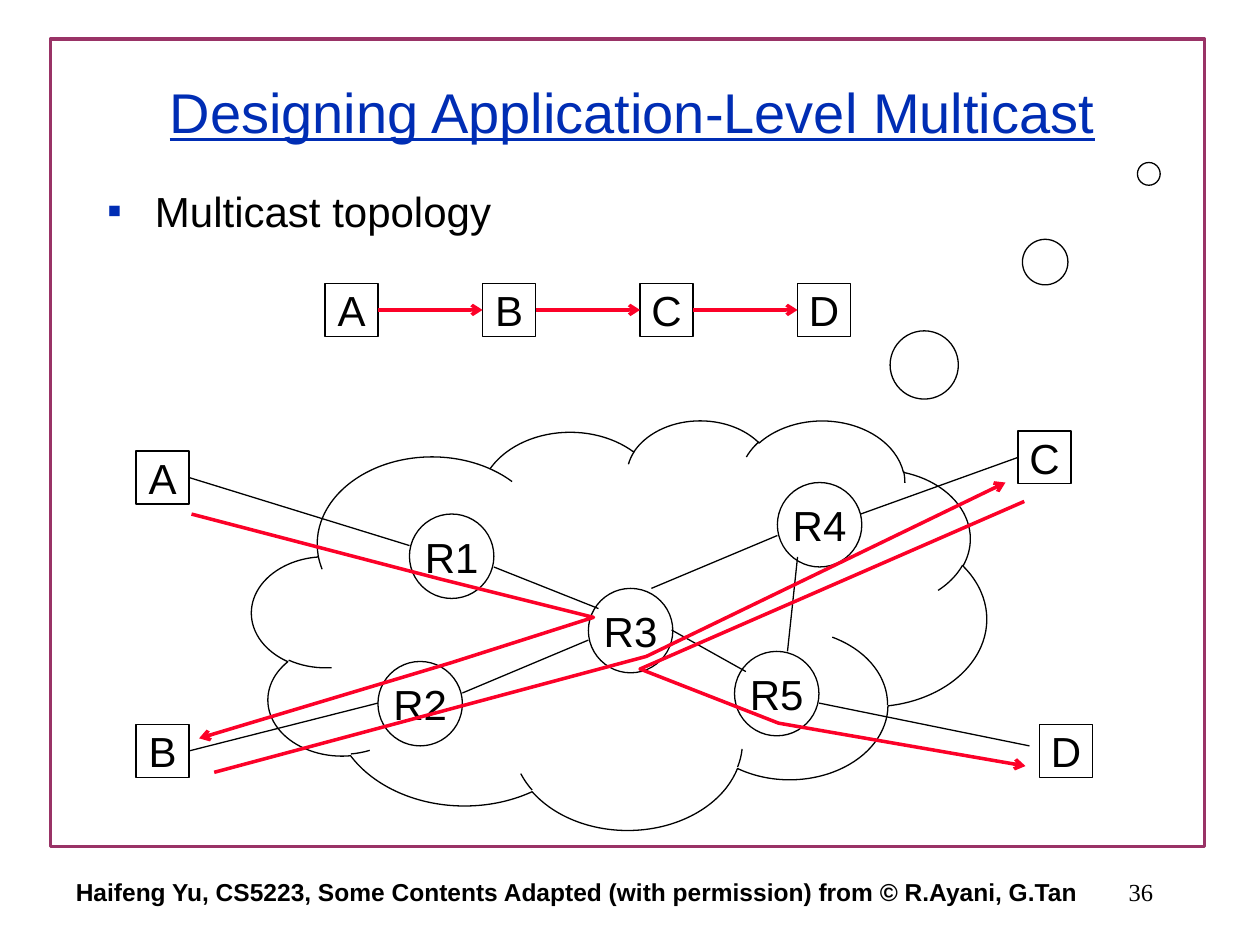
import pptx
import pptx.util
import pptx.dml.color
import pptx.enum.shapes
import pptx.enum.text
import pptx.oxml.ns
import lxml.etree

Inches = pptx.util.Inches
Pt = pptx.util.Pt
qn = pptx.oxml.ns.qn
KIND = pptx.enum.shapes.MSO_SHAPE
ALIGN = pptx.enum.text.PP_ALIGN
MIDDLE = pptx.enum.text.MSO_ANCHOR.MIDDLE

COLORS = {"ink": "000000", "blue": "002DB4", "red": "FC0128", "frame": "993366"}
LABEL = {"size": Pt(24), "name": "Arial"}
TITLE = {"size": Pt(32), "name": "Arial", "underline": True}
CREDIT = {"size": Pt(14), "name": "Arial", "bold": True}
NUMBER = {"size": Pt(14), "name": "Times New Roman"}
SIDE = 0.42   # host square
ROUND = 0.67  # router circle


def color(name):
    return pptx.dml.color.RGBColor.from_string(COLORS[name])


def node(parent, tag, **attrs):
    return lxml.etree.SubElement(parent, qn(tag), attrs)


def write(frame, text, style, ink="ink", align=ALIGN.CENTER, wrap=False):
    for key, value in {"word_wrap": wrap, "vertical_anchor": MIDDLE}.items():
        setattr(frame, key, value)
    para = frame.paragraphs[0]
    para.alignment = align
    run = para.add_run()
    run.text = text
    for key, value in style.items():
        setattr(run.font, key, value)
    run.font.color.rgb = color(ink)
    return para


def lead(para):
    """Add space before the paragraph, as a share of the line."""
    props = para._p.get_or_add_pPr()
    node(node(props, "a:spcBef"), "a:spcPct", val="30000")
    return props


def stroke(shape, ink="ink", width=0.75, arrow=False):
    shape.line.color.rgb = color(ink)
    shape.line.width = Pt(width)
    if arrow:
        node(shape._element.spPr.find(qn("a:ln")), "a:tailEnd", type="arrow")


def outline(shapes, kind, left, top, width, height, ink="ink", weight=0.75):
    shape = shapes.add_shape(kind, *map(Inches, (left, top, width, height)))
    shape.shadow.inherit = False
    shape.fill.background()
    stroke(shape, ink, weight)
    return shape


def point(shapes, kind, text, left, top, size):
    shape = outline(shapes, kind, left, top, size, size)
    lead(write(shape.text_frame, text, LABEL))
    return shape


def link(shapes, start, end, **look):
    line = shapes.add_connector(pptx.enum.shapes.MSO_CONNECTOR.STRAIGHT,
                                *map(Inches, (*start, *end)))
    stroke(line, **look)
    node(line._element.spPr, "a:effectLst")
    return line


def route(shapes, spots):
    """Red path with bends and an arrowhead at its end."""
    spots = [tuple(map(Inches, spot)) for spot in spots]
    pen = shapes.build_freeform(*spots[0], scale=1.0)
    pen.add_line_segments(spots[1:], close=False)
    shape = pen.convert_to_shape()
    shape.shadow.inherit = False
    shape.fill.background()
    stroke(shape, "red", 2, True)


def place(shape, box):
    for key, value in zip(("left", "top", "width", "height"), box):
        setattr(shape, key, Inches(value))


def header(slide, box):
    left, top, width = box
    # Title
    title = slide.shapes.title
    place(title, (left + 0.02, top, width, 0.92))
    write(title.text_frame, "Designing Application-Level Multicast",
          TITLE, "blue", wrap=True)
    # Bullet list
    body = slide.placeholders[1]
    place(body, (left, top + 1, width, 1.25))
    para = write(body.text_frame, "Multicast topology", LABEL,
                 align=ALIGN.LEFT, wrap=True)
    body.text_frame.vertical_anchor = pptx.enum.text.MSO_ANCHOR.TOP
    props = lead(para)
    props.set("marL", str(Inches(0.38)))
    props.set("indent", str(Inches(-0.38)))
    node(node(props, "a:buClr"), "a:srgbClr", val=COLORS["blue"])
    node(props, "a:buFont", typeface="Arial")
    node(props, "a:buChar", char="▪")


def footer(slide, box):
    left, top, height = box
    for text, shift, width, style, align in (
            ("Haifeng Yu, CS5223, Some Contents Adapted (with permission) "
             "from © R.Ayani, G.Tan", 0, 8.5, CREDIT, ALIGN.CENTER),
            ("36", 6.84, 2.08, NUMBER, ALIGN.RIGHT)):
        area = (left + shift, top, width, height)
        note = slide.shapes.add_textbox(*map(Inches, area))
        write(note.text_frame, text, style, align=align)


def chain(slide, box):
    """Row of hosts joined by arrows."""
    left, top, step = box
    shapes = slide.shapes.add_group_shape().shapes
    hosts = [point(shapes, KIND.RECTANGLE, name, left + i * step, top, SIDE)
             for i, name in enumerate("ABCD")]
    for one, two in zip(hosts, hosts[1:]):
        line = link(shapes, (left, top), (left, top),
                    ink="red", width=2, arrow=True)
        line.begin_connect(one, 3)
        line.end_connect(two, 1)


def network(slide, box):
    left, top = box
    shapes = slide.shapes

    def at(x, y):
        return left + x, top + y

    # Cloud
    cloud = outline(shapes, KIND.CLOUD_CALLOUT, *at(1, 0), 5.83, 3.25)
    cloud.adjustments[0] = 0.721
    cloud.adjustments[1] = -1.1

    # Hosts and routers
    hosts = {name: point(shapes, KIND.RECTANGLE, name, *at(x, y), SIDE)
             for name, x, y in (("A", 0.08, 0.25), ("B", 0.08, 2.42),
                                ("C", 7.08, 0.09), ("D", 7.25, 2.42))}
    for name, x, y in (("R1", 2.25, 0.75), ("R2", 2, 1.92), ("R3", 3.67, 1.34),
                       ("R4", 5.17, 0.5), ("R5", 4.83, 1.84)):
        point(shapes, KIND.OVAL, name, *at(x, y), ROUND)

    # Links from hosts
    for name, side, start, end in (("A", 3, (0.5, 0.46), (2.25, 1)),
                                   ("B", 3, (0.5, 2.63), (2, 2.25)),
                                   ("C", 1, (7.08, 0.3), (5.83, 0.75))):
        link(shapes, at(*start), at(*end)).begin_connect(hosts[name], side)

    # Links from routers
    for start, end in (((2.67, 2.17), (3.67, 1.75)),
                       ((2.92, 1.17), (3.75, 1.5)),
                       ((4.33, 1.67), (4.92, 2)),
                       ((5.33, 1.09), (5.25, 1.84)),
                       ((4.17, 1.34), (5.17, 0.92)),
                       ((5.5, 2.25), (7.17, 2.59))):
        link(shapes, at(*start), at(*end))

    # Multicast routes: B to C, A to B, C to D
    for spots in (
            ((0.7, 2.8), (4.13, 1.88), (6.98, 0.5)),
            ((0.52, 0.75), (2.51, 1.27), (3.71, 1.57), (2.58, 1.93), (0.58, 2.53)),
            ((7.13, 0.65), (4.08, 1.98), (5.18, 2.41), (7.14, 2.75))):
        route(shapes, [at(*spot) for spot in spots])


def main():
    deck = pptx.Presentation()
    deck.slide_width, deck.slide_height = Inches(10), Inches(7.5)
    slide = deck.slides.add_slide(deck.slide_layouts[1])
    outline(slide.shapes, KIND.RECTANGLE, 0.4, 0.31, 9.16, 6.41, "frame", 2)
    header(slide, (0.75, 0.42, 8.5))
    footer(slide, (0.33, 6.83, 0.5))
    network(slide, (1, 3.33))
    chain(slide, (2.58, 2.25, 1.25))
    deck.save("out.pptx")


if __name__ == "__main__":
    main()
